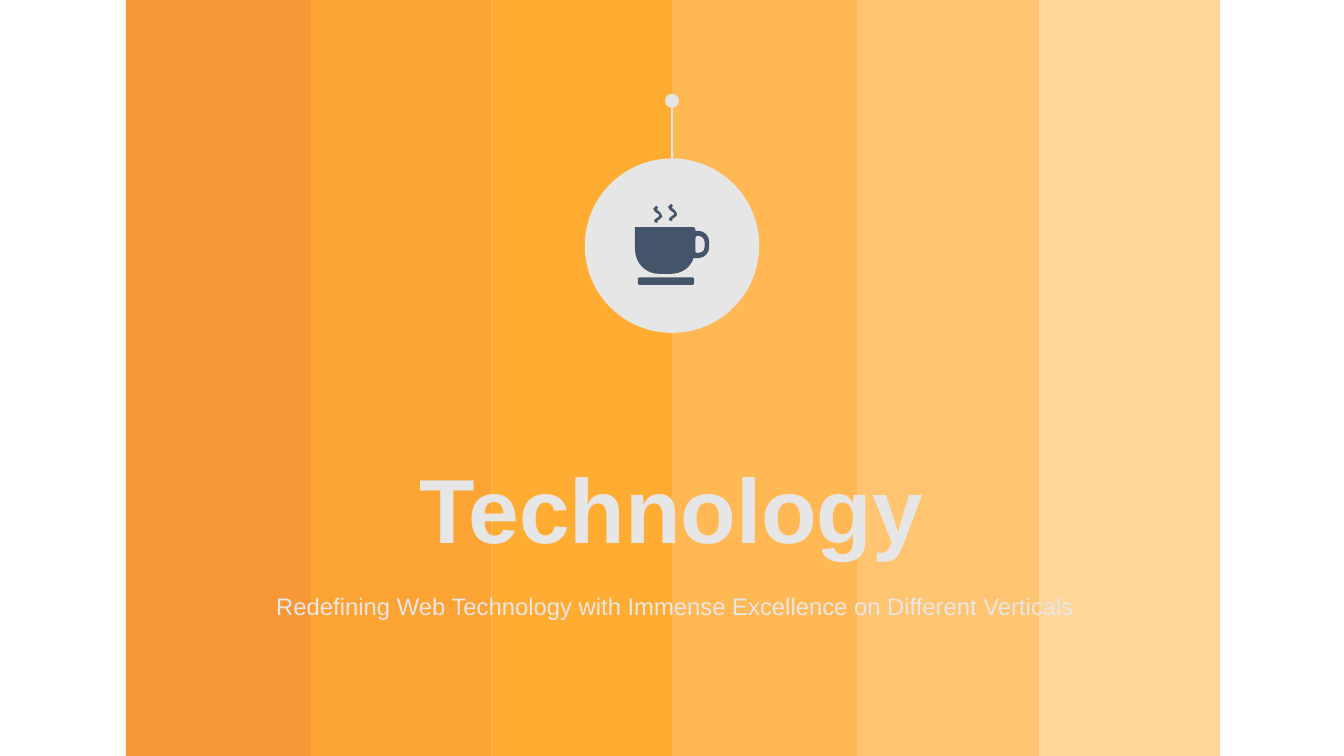
from lxml import etree
from pptx import Presentation
from pptx.dml.color import RGBColor
from pptx.enum.shapes import MSO_CONNECTOR as Line, MSO_SHAPE as Shape
from pptx.enum.text import MSO_ANCHOR as Anchor, PP_ALIGN as Align
from pptx.oxml.ns import qn
from pptx.util import Pt

# Content
TITLE = "Technology"
MOTTO = "Redefining Web Technology with Immense Excellence on Different Verticals"
LIGHT = RGBColor(0xE7, 0xE6, 0xE6)
SLATE = RGBColor(0x44, 0x54, 0x6A)

# Stripes: width, colour, opacity in percent
STRIPES = [
    (132, RGBColor(0xF6, 0x7C, 0x01), 78),
    (129, RGBColor(0xFB, 0x8C, 0x00), 80),
    (129, RGBColor(0xFF, 0x98, 0x00), 80),
    (132, RGBColor(0xFF, 0xA7, 0x28), 80),
    (130.5, RGBColor(0xFF, 0xB6, 0x4D), 80),
    (129, RGBColor(0xFF, 0xCC, 0x80), 80),
]

# Outlines: two numbers make a line, six make a curve
CUP = [(453.6, 162.3), (495.4, 162.3), (496.8, 162.3, 496.8, 163.4, 496.8, 165),
       (499, 164.9), (503.2, 164.9, 506.6, 168.5, 506.6, 172.8),
       (506.6, 176.4), (506.6, 180.7, 503.2, 184.3, 499, 184.3),
       (495.4, 184.3), (493.2, 191.5, 486.7, 195.6, 478.8, 195.6),
       (470.9, 195.6), (461.5, 195.6, 453.6, 188.3, 453.6, 177.8)]
HOLE = [(496.8, 170), (496.8, 168.5, 497.5, 168.5, 499, 168.5),
        (501.1, 168.5, 503.3, 170.6, 503.3, 172.8),
        (503.3, 176.4), (503.3, 179.3, 501.1, 180.7, 499, 180.7),
        (497, 180.9, 496.6, 180.5, 496.8, 177.8)]
STEAM = [(3, 17), (1, 17, 1, 16, 1, 15), (1, 14, 2, 13, 4, 12),
         (6, 10.5, 6, 10.5, 6, 10), (6, 9, 5, 8, 3, 7), (2, 6, 0, 5, 0, 3),
         (0, 2, 1, 1, 2, 1), (3, 0, 4, 0, 4, 1), (5, 1, 5, 2, 4, 3),
         (3, 4, 5, 5, 5, 5), (7, 7, 9, 8, 9, 11),
         (8, 12, 7, 13, 6, 14), (5, 14, 4, 15, 4, 15), (5, 16, 5, 17, 3, 17)]
PUFFS = [(466.6, 146.9), (477.2, 145.6)]

deck = Presentation()
deck.slide_width, deck.slide_height = Pt(960), Pt(540)
slide = deck.slides.add_slide(deck.slide_layouts[6])
shapes = slide.shapes


def paint(shape, color, alpha=100):
    shape.shadow.inherit = False
    shape.fill.solid()
    shape.fill.fore_color.rgb = color
    shape.line.fill.background()
    if alpha < 100:
        tone = shape.fill._xPr.find(".//" + qn("a:srgbClr"))
        etree.SubElement(tone, qn("a:alpha"), val=str(alpha * 1000))


def add_part(kind, x, y, w, h, color, alpha=100):
    shape = shapes.add_shape(kind, Pt(x), Pt(y), Pt(w), Pt(h))
    paint(shape, color, alpha)
    return shape


def add_form(*rings, x=0, y=0, scale=1):
    """Build outlines from their end points, then bend the curved parts."""
    def place(part):
        return [(Pt(x + scale * p), Pt(y + scale * q))
                for p, q in zip(part[::2], part[1::2])]

    placed = [[place(part) for part in ring] for ring in rings]
    form = shapes.build_freeform(*placed[0][0][0])
    for n, ring in enumerate(placed):
        if n:
            form.move_to(*ring[0][0])
        form.add_line_segments([part[-1] for part in ring[1:]])
    shape = form.convert_to_shape()
    paint(shape, SLATE)
    sides = list(shape._element.iter(qn("a:lnTo")))
    parts = [part for ring in placed for part in ring[1:]]
    for side, part in zip(sides, parts):
        if len(part) == 3:
            bend = etree.Element(qn("a:cubicBezTo"))
            for p, q in part:
                etree.SubElement(bend, qn("a:pt"),
                                 x=str(p - shape.left), y=str(q - shape.top))
            side.getparent().replace(side, bend)


def add_text(text, x, y, w, h, size, bold=False, anchor=Anchor.TOP, before=0, left=0):
    frame = shapes.add_textbox(Pt(x), Pt(y), Pt(w), Pt(h)).text_frame
    frame.word_wrap = True
    frame.vertical_anchor = anchor
    para = frame.paragraphs[0]
    para.alignment = Align.CENTER
    para.line_spacing = 0.9
    para.space_before = Pt(before)
    para._p.get_or_add_pPr().set("marL", str(Pt(left)))
    run = para.add_run()
    run.text = text
    font = run.font
    font.name, font.size, font.bold = "Arial", Pt(size), bold
    font.color.rgb = LIGHT


# Background stripes
edge = 90
for width, color, alpha in STRIPES:
    add_part(Shape.RECTANGLE, edge, -3.6, width, 545, color, alpha)
    edge += width

# Texts
add_text(TITLE, 129.2, 270, 701.3, 136, 65, bold=True, anchor=Anchor.BOTTOM)
add_text(MOTTO, 130, 421.2, 701.3, 28, 17, before=14, left=3.6)

# Badge with cup, saucer and steam
add_part(Shape.OVAL, 417.7, 113.2, 124.6, 124.6, LIGHT)
add_form(CUP, HOLE)
saucer = add_part(Shape.ROUNDED_RECTANGLE, 455.7, 198.1, 40.1, 5.4, SLATE)
saucer.adjustments[0] = 0.25
for left, top in PUFFS:
    add_form(STEAM, x=left, y=top, scale=0.72)

# Hanger
hanger = shapes.add_connector(Line.STRAIGHT, Pt(480), Pt(72), Pt(480), Pt(118))
hanger.line.color.rgb = LIGHT
hanger.line.width = Pt(2)
etree.SubElement(hanger.line._get_or_add_ln(), qn("a:headEnd"),
                 type="oval", w="lg", len="lg")
etree.SubElement(hanger._element.spPr, qn("a:effectLst"))

deck.save("out.pptx")
